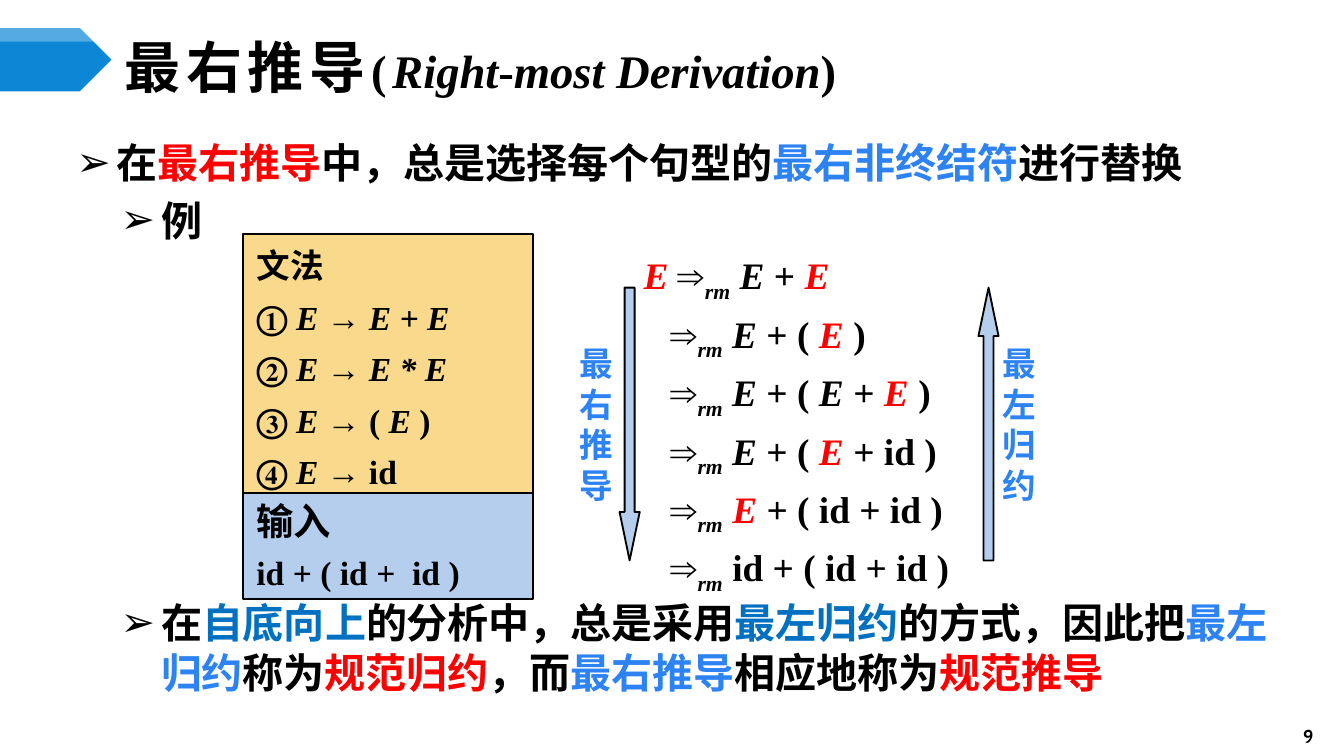
"""Build the slide on right-most derivation."""
from lxml import etree
from pptx import Presentation
from pptx.dml.color import RGBColor
from pptx.enum.shapes import MSO_SHAPE
from pptx.enum.text import MSO_ANCHOR, PP_ALIGN
from pptx.oxml.ns import qn
from pptx.util import Inches, Pt

PENTAGON, RECTANGLE, DOWN_ARROW = MSO_SHAPE.PENTAGON, MSO_SHAPE.RECTANGLE, MSO_SHAPE.DOWN_ARROW
TOP, MIDDLE = MSO_ANCHOR.TOP, MSO_ANCHOR.MIDDLE
LEFT, CENTER, JUSTIFY = PP_ALIGN.LEFT, PP_ALIGN.CENTER, PP_ALIGN.JUSTIFY

BLACK = RGBColor(0x00, 0x00, 0x00)
WHITE = RGBColor(0xFF, 0xFF, 0xFF)
RED = RGBColor(0xFF, 0x00, 0x00)
BLUE = RGBColor(0x2D, 0x83, 0xF4)
DEEP_BLUE = RGBColor(0x00, 0x70, 0xC0)
BANNER_BLUE = RGBColor(0x0B, 0x87, 0xD6)
PALE_BLUE = RGBColor(0xB5, 0xCE, 0xED)
AMBER = RGBColor(0xF9, 0xD9, 0x8C)

SANS, SERIF, BODY, NUMBER = "Noto Sans CJK SC", "Times New Roman", "Arial", "Cabin"
PLAIN = {}
ITALIC = {"italic": True}
RED_ITALIC = {"italic": True, "color": RED}
SUBSCRIPT = {"italic": True, "baseline": -25}
IN_RED, IN_BLUE, IN_DEEP_BLUE = {"color": RED}, {"color": BLUE}, {"color": DEEP_BLUE}
WIDE = {"spacing": 3}

TITLE = [("最右推导", {"size": 30, "font": SANS, **WIDE}), ("(", WIDE), ("Right", ITALIC),
         ("-", PLAIN), ("most Derivation", ITALIC), (")", WIDE)]

OPENING = [
    [("在", PLAIN), ("最右推导", IN_RED), ("中，总是选择每个句型的", PLAIN),
     ("最右非终结符", IN_BLUE), ("进行替换", PLAIN)],
    [("例", PLAIN)],
]
CONCLUSION = [
    [("在", PLAIN), ("自底向上", IN_DEEP_BLUE), ("的分析中，总是采用", PLAIN),
     ("最左归约", IN_DEEP_BLUE), ("的方式，因此把", PLAIN), ("最左归约", IN_BLUE),
     ("称为", PLAIN), ("规范归约", IN_RED), ("，而", PLAIN), ("最右推导", IN_BLUE),
     ("相应地称为", PLAIN), ("规范推导", IN_RED)],
]

GRAMMAR = [
    [("文法", {"font": SANS})],
    [("① ", PLAIN), ("E → E + E", ITALIC)],
    [("② ", PLAIN), ("E → E * E", ITALIC)],
    [("③", PLAIN), (" E → ", ITALIC), ("( ", PLAIN), ("E ", ITALIC), (")", PLAIN)],
    [("④ ", PLAIN), ("E → ", ITALIC), ("id", PLAIN)],
]
INPUT = [[("输入", {"size": 20, "font": SANS})], [("id + ( id +  id )", PLAIN)]]

STEP = [("⇒", PLAIN), ("rm", SUBSCRIPT), (" ", ITALIC)]
SENTENTIAL_FORMS = [
    [("E ", ITALIC), ("+ ", PLAIN), ("E", RED_ITALIC)],
    [("E", ITALIC), (" + ( ", PLAIN), ("E ", RED_ITALIC), (")", PLAIN)],
    [("E", ITALIC), (" + ( ", PLAIN), ("E", ITALIC), (" + ", PLAIN), ("E ", RED_ITALIC), (")", PLAIN)],
    [("E", ITALIC), (" + ( ", PLAIN), ("E ", RED_ITALIC), ("+ id )", PLAIN)],
    [("E ", RED_ITALIC), ("+ ( id + id )", PLAIN)],
    [("id + ( id + id )", PLAIN)],
]
DIRECTIONS = [("最右推导", 4.19, 0.49, 4.61, 0), ("最左归约", 7.36, 0.45, 7.28, 180)]


def add_run(paragraph, text, font, size, color=BLACK, italic=False, baseline=0, spacing=0):
    run = paragraph.add_run()
    run.text = text
    run.font.name, run.font.size = font, Pt(size)
    run.font.bold, run.font.italic = True, italic
    run.font.color.rgb = color
    properties = run.font._element
    latin = properties.find(qn("a:latin"))
    east_asian = etree.Element(qn("a:ea"), typeface=SANS if font == BODY else font)
    latin.addnext(east_asian)
    if baseline:
        properties.set("baseline", str(baseline * 1000))
    if spacing:
        properties.set("spc", str(spacing * 100))


def write(shape, paragraphs, font, size, align=LEFT, anchor=TOP, line=None, before=0,
          indents=None, bullet=None, inset=0.1):
    frame = shape.text_frame
    frame.word_wrap, frame.vertical_anchor = True, anchor
    frame.margin_left = frame.margin_right = Inches(inset)
    for index, runs in enumerate(paragraphs):
        paragraph = frame.add_paragraph() if index else frame.paragraphs[0]
        paragraph.alignment = align
        if line:
            paragraph.line_spacing = Pt(line)
        if index:
            paragraph.space_before = Pt(before)
        properties = paragraph._p.get_or_add_pPr()
        if indents:
            properties.set("marL", str(Inches(indents[index])))
        if bullet:
            properties.set("indent", str(Inches(-0.3)))
            etree.SubElement(properties, qn("a:buFont"), typeface=BODY)
            etree.SubElement(properties, qn("a:buChar"), char=bullet)
        for text, style in runs:
            add_run(paragraph, text, **{"font": font, "size": size, **style})


def add_text(slide, box, paragraphs, font, size, **layout):
    write(slide.shapes.add_textbox(*map(Inches, box)), paragraphs, font, size, **layout)


def add_block(slide, kind, box, fill, outlined=True):
    shape = slide.shapes.add_shape(kind, *map(Inches, box))
    shape.shadow.inherit = False
    shape.fill.solid()
    shape.fill.fore_color.rgb = fill
    if outlined:
        shape.line.color.rgb, shape.line.width = BLACK, Pt(1)
    else:
        shape.line.fill.background()
    return shape


def main():
    presentation = Presentation()
    presentation.slide_width = Inches(10)
    presentation.slide_height = presentation.slide_width * 9 // 16
    slide = presentation.slides.add_slide(presentation.slide_layouts[6])

    add_block(slide, PENTAGON, (0, 0.21, 0.83, 0.47), BANNER_BLUE, outlined=False)
    highlight = add_block(slide, PENTAGON, (0, 0.21, 0.83, 0.1), WHITE, outlined=False)
    color = highlight.fill._xPr.find(qn("a:solidFill"))[0]
    etree.SubElement(color, qn("a:alpha"), val="30000")
    add_text(slide, (0.83, 0.3, 8.67, 0.39), [TITLE], SERIF, 25, anchor=MIDDLE)

    bullets = {"line": 26.8, "before": 4, "bullet": "➢"}
    add_text(slide, (0.47, 0.97, 9.3, 0.9), OPENING, BODY, 22, indents=[0.3, 0.63], **bullets)
    add_text(slide, (0.47, 4.39, 9.3, 0.9), CONCLUSION, BODY, 22, indents=[0.63], **bullets)

    input_box = add_block(slide, RECTANGLE, (1.81, 3.66, 2.16, 0.8), PALE_BLUE)
    write(input_box, INPUT, SERIF, 18, anchor=TOP, line=24, before=2)
    grammar_box = add_block(slide, RECTANGLE, (1.81, 1.74, 2.16, 1.93), AMBER)
    write(grammar_box, GRAMMAR, SERIF, 18, align=JUSTIFY, line=24, before=3.6)

    derivation = [STEP + form for form in SENTENTIAL_FORMS]
    derivation[0].insert(0, ("E ", RED_ITALIC))
    add_text(slide, (4.69, 1.83, 2.59, 2.48), derivation, SERIF, 20, line=27.3, before=4,
             indents=[0] + [0.2] * (len(derivation) - 1))

    for label, label_left, label_width, arrow_left, rotation in DIRECTIONS:
        arrow = add_block(slide, DOWN_ARROW, (arrow_left, 2.14, 0.15, 2.03), PALE_BLUE)
        arrow.adjustments[0], arrow.adjustments[1] = 0.5, 2.4
        arrow.rotation = rotation
        add_text(slide, (label_left, 2.5, label_width, 1.31), [[(letter, IN_BLUE)] for letter in label],
                 SANS, 18, align=CENTER, line=21.75, inset=0)

    add_text(slide, (9.47, 5.32, 0.53, 0.31), [[("9", PLAIN)]], NUMBER, 10, align=CENTER, anchor=MIDDLE)
    presentation.save("out.pptx")


if __name__ == "__main__":
    main()
